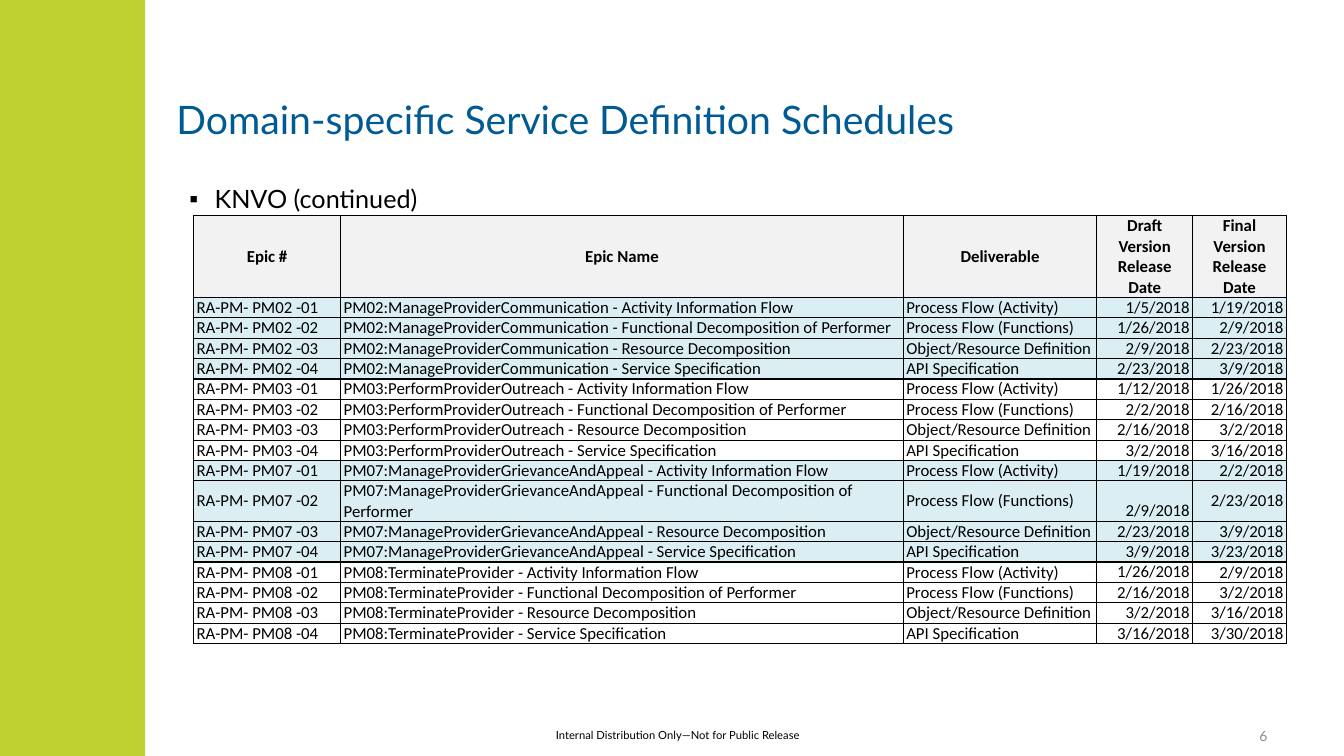
from lxml.etree import SubElement
from pptx import Presentation
from pptx.dml.color import RGBColor
from pptx.enum.shapes import MSO_SHAPE
from pptx.enum.text import MSO_ANCHOR, PP_ALIGN
from pptx.oxml.ns import qn
from pptx.util import Inches, Pt

WIDE, TALL = Inches(13.33), Inches(7.5)
BLACK, WHITE, LIME, BLUE = "000000", "FFFFFF", "BED131", "005B94"
GREY, PALE, AQUA = "8C8C8C", "F2F2F2", "DAEEF3"

COLS = [10.95, 41.86, 14.4, 7.13, 6.98]
HEAD_ROW, BODY_ROW = 10.8, 2.7
HEADS = ["Epic #", "Epic Name", "Deliverable",
         "Draft Version Release Date", "Final Version Release Date"]
EPICS = [("PM02", "ManageProviderCommunication"),
         ("PM03", "PerformProviderOutreach"),
         ("PM07", "ManageProviderGrievanceAndAppeal"),
         ("PM08", "TerminateProvider")]
# Topic, deliverable, weeks from the epic's first draft
STEPS = [("Activity Information Flow", "Process Flow (Activity)", 0),
         ("Functional Decomposition of Performer", "Process Flow (Functions)", 3),
         ("Resource Decomposition", "Object/Resource Definition", 5),
         ("Service Specification", "API Specification", 7)]
WEEKS = ["1/5", "1/12", "1/19", "1/26", "2/2", "2/9", "2/16", "2/23",
         "3/2", "3/9", "3/16", "3/23", "3/30"]
REVIEW = 2  # weeks from draft to final


def across(share):
    return int(WIDE * share / 100)


def down(share):
    return int(TALL * share / 100)


def area(left, top, width, height):
    """Turn percentages of the slide into a position and size."""
    return across(left), down(top), across(width), down(height)


def paint(fill, color):
    fill.solid()
    fill.fore_color.rgb = RGBColor.from_string(color)


def write(frame, text, size, color=BLACK, font="Lato", align=PP_ALIGN.LEFT,
          bold=False):
    """Put one styled run in the first paragraph and return the paragraph."""
    frame.word_wrap = True
    para = frame.paragraphs[0]
    para.alignment = align
    run = para.add_run()
    run.text = text
    run.font.size, run.font.name, run.font.bold = Pt(size), font, bold
    run.font.color.rgb = RGBColor.from_string(color)
    return para


def add_band(slide):
    band = slide.shapes.add_shape(MSO_SHAPE.RECTANGLE, *area(0, 0, 10.8, 100))
    band.shadow.inherit = False
    paint(band.fill, LIME)
    band.line.fill.background()


def set_title(slide, text):
    title = slide.shapes.title
    title.left, title.top, title.width, title.height = area(
        12.38, 10.53, 81.7, 10.4)
    title.text_frame.vertical_anchor = MSO_ANCHOR.MIDDLE
    write(title.text_frame, text, 28, BLUE)


def add_text(slide, place, text, size, color=BLACK, align=PP_ALIGN.LEFT,
             anchor=MSO_ANCHOR.TOP):
    box = slide.shapes.add_textbox(*area(*place))
    box.text_frame.vertical_anchor = anchor
    write(box.text_frame, text, size, color, align=align)
    return box


def add_bullet(slide, text):
    box = add_text(slide, (12.38, 22.8, 81.7, 66.53), text, 18)
    paint(box.fill, WHITE)
    para = box.text_frame.paragraphs[0]
    para.line_spacing, para.space_after = 1.2, Pt(6)
    props = para._p.get_or_add_pPr()
    props.set("marL", str(Inches(0.38)))
    props.set("indent", str(Inches(-0.25)))
    SubElement(props, qn("a:buFont"), typeface="Arial")
    SubElement(props, qn("a:buChar"), char="▪")


def add_edges(cell):
    props = cell._tc.get_or_add_tcPr()
    for side in "LRTB":
        edge = SubElement(props, qn("a:ln" + side), w=str(Pt(1)))
        fill = SubElement(edge, qn("a:solidFill"))
        SubElement(fill, qn("a:srgbClr"), val=BLACK)


def fill_cell(cell, text, color, align, bold=False, anchor=MSO_ANCHOR.MIDDLE):
    add_edges(cell)
    if color:
        paint(cell.fill, color)
    else:
        cell.fill.background()
    cell.margin_left = cell.margin_right = Inches(0.03)
    cell.margin_top = cell.margin_bottom = 0
    cell.vertical_anchor = anchor
    write(cell.text_frame, text, 12, font="Calibri", align=align, bold=bold)


def plan():
    """Yield the epic's index and the five texts of each body row."""
    for index, (code, name) in enumerate(EPICS):
        for step, (topic, item, delay) in enumerate(STEPS, 1):
            week = index + delay
            yield index, [f"RA-PM- {code} -{step:02}",
                          f"{code}:{name} - {topic}", item,
                          f"{WEEKS[week]}/2018",
                          f"{WEEKS[week + REVIEW]}/2018"]


def add_plan(slide):
    count = len(EPICS) * len(STEPS)
    place = area(14.4, 28.53, sum(COLS), HEAD_ROW + count * BODY_ROW)
    table = slide.shapes.add_table(count + 1, len(COLS), *place).table
    table.horz_banding = False
    for col, share in zip(table.columns, COLS):
        col.width = across(share)
    for row in table.rows:
        row.height = down(BODY_ROW)
    table.rows[0].height = down(HEAD_ROW)
    for col, text in enumerate(HEADS):
        fill_cell(table.cell(0, col), text, PALE, PP_ALIGN.CENTER, True)
    for row, (epic, texts) in enumerate(plan(), 1):
        color = None if epic % 2 else AQUA
        for col, text in enumerate(texts):
            align = PP_ALIGN.RIGHT if col > 2 else PP_ALIGN.LEFT
            low = col == 3 and epic > 0
            anchor = MSO_ANCHOR.BOTTOM if low else MSO_ANCHOR.MIDDLE
            fill_cell(table.cell(row, col), text, color, align, anchor=anchor)


def main():
    deck = Presentation()
    deck.slide_width, deck.slide_height = WIDE, TALL
    slide = deck.slides.add_slide(deck.slide_layouts[5])
    add_band(slide)
    add_text(slide, (35.18, 95.73, 30.53, 3.2),
             "Internal Distribution Only—Not for Public Release", 8,
             align=PP_ALIGN.CENTER)
    set_title(slide, "Domain-specific Service Definition Schedules")
    add_bullet(slide, "KNVO (continued)")
    add_text(slide, (75.02, 94.67, 20.03, 5.33), "6", 10, GREY,
             PP_ALIGN.RIGHT, MSO_ANCHOR.MIDDLE)
    add_plan(slide)
    deck.save("out.pptx")


if __name__ == "__main__":
    main()
